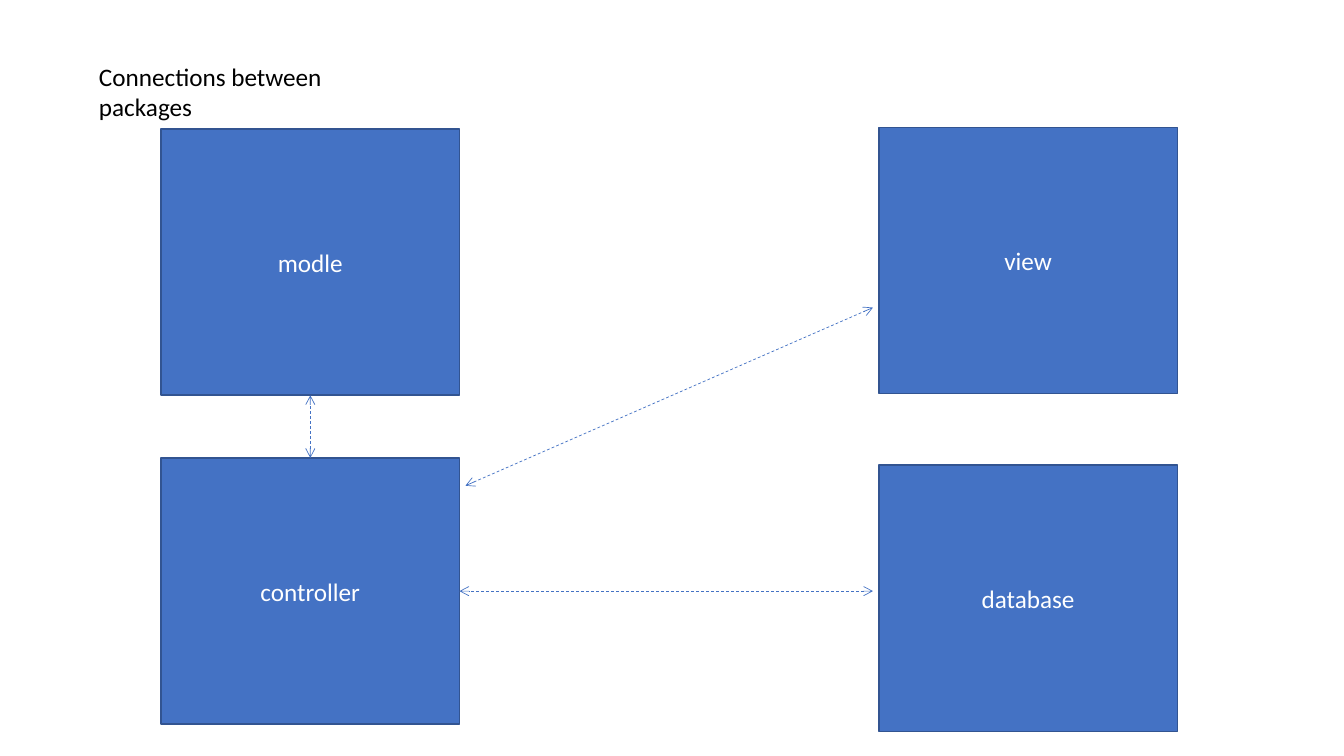
from dataclasses import dataclass

from lxml import etree
from pptx import Presentation
from pptx.dml.color import RGBColor
from pptx.enum.dml import MSO_LINE
from pptx.enum.shapes import MSO_CONNECTOR, MSO_SHAPE
from pptx.enum.text import MSO_ANCHOR, MSO_AUTO_SIZE, PP_ALIGN
from pptx.oxml.ns import qn
from pptx.util import Cm, Pt

RECTANGLE = MSO_SHAPE.RECTANGLE
STRAIGHT = MSO_CONNECTOR.STRAIGHT
DASH = MSO_LINE.DASH
TOP, MIDDLE = MSO_ANCHOR.TOP, MSO_ANCHOR.MIDDLE
LEFT, CENTER = PP_ALIGN.LEFT, PP_ALIGN.CENTER
FIT_SHAPE = MSO_AUTO_SIZE.SHAPE_TO_FIT_TEXT
TITLE_ONLY = 5


@dataclass(frozen=True)
class Theme:
    font: str = "Calibri"
    text_size: float = 18
    border_width: float = 1
    arrow_width: float = 0.5
    blue: RGBColor = RGBColor(0x44, 0x72, 0xC4)
    border: RGBColor = RGBColor(0x32, 0x54, 0x91)
    white: RGBColor = RGBColor(0xFF, 0xFF, 0xFF)
    black: RGBColor = RGBColor(0x00, 0x00, 0x00)


THEME = Theme()
TITLE = "Connections between packages"
TITLE_FRAME = (2.24, 1.42, 6.76, 1.8)
LEFT_COLUMN, RIGHT_COLUMN = 4.06, 22.15
PACKAGE_WIDTH, PACKAGE_HEIGHT = 7.52, 6.71
PACKAGES = {
    "view": (RIGHT_COLUMN, 3.21),
    "database": (RIGHT_COLUMN, 11.72),
    "controller": (LEFT_COLUMN, 11.54),
    "modle": (LEFT_COLUMN, 3.25),
}
ARROW_GAP = 0.15
VIEW_ARROW_DROP = 4.54
CONTROLLER_ARROW_DROP = 0.7


def style_text(frame, text, color, alignment, anchor):
    frame.text = text
    frame.word_wrap = True
    frame.vertical_anchor = anchor
    para = frame.paragraphs[0]
    para.alignment = alignment
    para.font.name = THEME.font
    para.font.size = Pt(THEME.text_size)
    para.font.color.rgb = color


def add_title(page):
    title = page.shapes.title
    title.left, title.top, title.width, title.height = map(Cm, TITLE_FRAME)
    style_text(title.text_frame, TITLE, THEME.black, LEFT, TOP)
    title.text_frame.auto_size = FIT_SHAPE


def add_package(page, name, left, top):
    box = page.shapes.add_shape(
        RECTANGLE, Cm(left), Cm(top), Cm(PACKAGE_WIDTH), Cm(PACKAGE_HEIGHT)
    )
    box.shadow.inherit = False
    box.fill.solid()
    box.fill.fore_color.rgb = THEME.blue
    box.line.color.rgb = THEME.border
    box.line.width = Pt(THEME.border_width)
    style_text(box.text_frame, name, THEME.white, CENTER, MIDDLE)


def add_double_arrow(page, start, end):
    arrow = page.shapes.add_connector(STRAIGHT, *map(Cm, start + end))
    arrow.line.color.rgb = THEME.blue
    arrow.line.width = Pt(THEME.arrow_width)
    arrow.line.dash_style = DASH
    properties = arrow.element.spPr
    line = properties.find(qn("a:ln"))
    for tag in ("a:headEnd", "a:tailEnd"):
        etree.SubElement(line, qn(tag), type="arrow")
    etree.SubElement(properties, qn("a:effectLst"))


def connection_ends():
    controller_left, controller_top = PACKAGES["controller"]
    model_top = PACKAGES["modle"][1]
    view_left, view_top = PACKAGES["view"]
    center = controller_left + PACKAGE_WIDTH / 2
    middle = controller_top + PACKAGE_HEIGHT / 2
    controller_right = controller_left + PACKAGE_WIDTH
    arrow_right = view_left - ARROW_GAP
    return [
        ((arrow_right, middle), (controller_right, middle)),
        ((center, controller_top), (center, model_top + PACKAGE_HEIGHT)),
        (
            (controller_right + ARROW_GAP, controller_top + CONTROLLER_ARROW_DROP),
            (arrow_right, view_top + VIEW_ARROW_DROP),
        ),
    ]


def main():
    deck = Presentation()
    deck.slide_width, deck.slide_height = Cm(33.87), Cm(19.05)
    page = deck.slides.add_slide(deck.slide_layouts[TITLE_ONLY])
    add_title(page)
    for name, (left, top) in PACKAGES.items():
        add_package(page, name, left, top)
    for start, end in connection_ends():
        add_double_arrow(page, start, end)
    deck.save("out.pptx")


if __name__ == "__main__":
    main()
